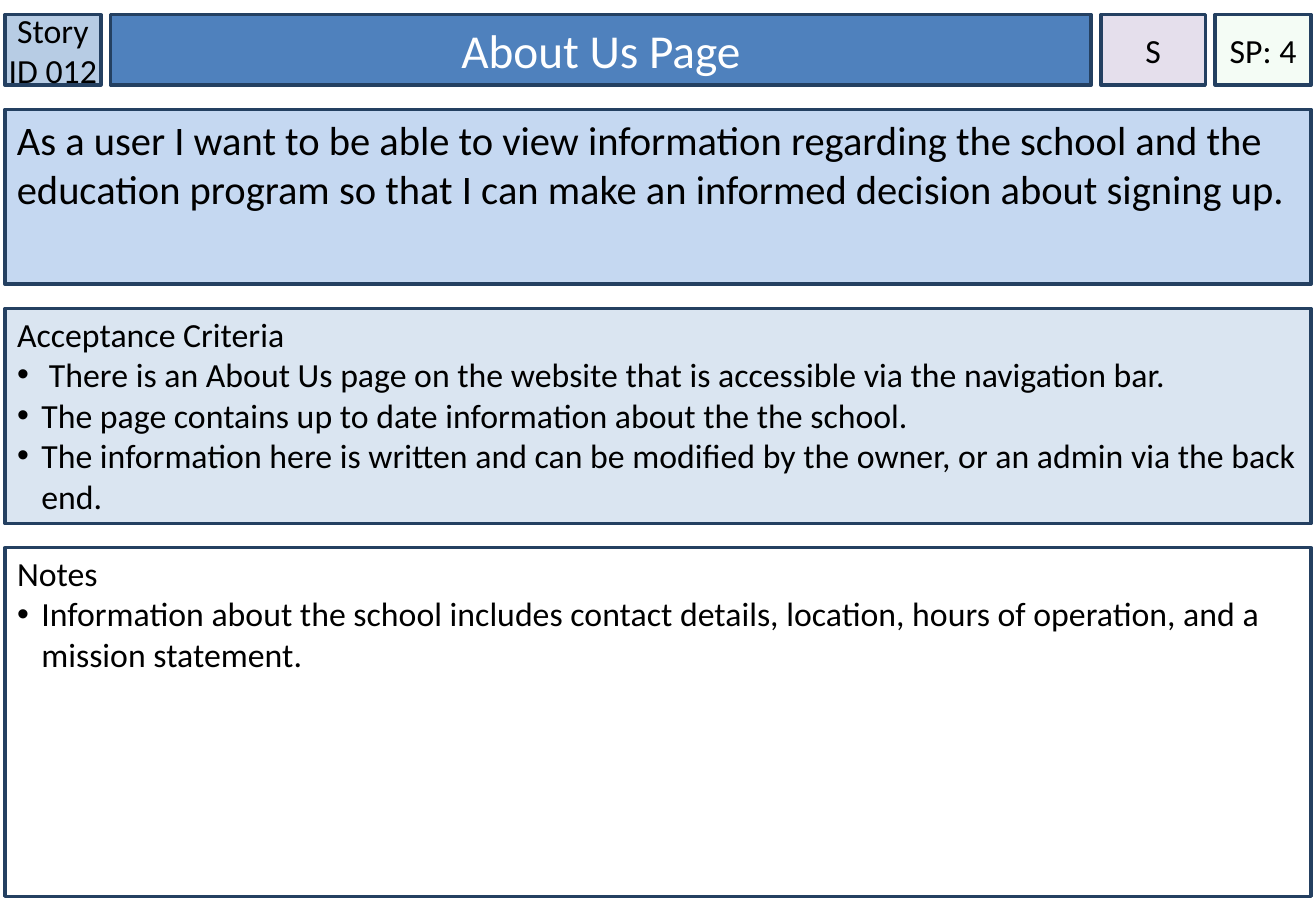
from itertools import accumulate

from lxml import etree
from pptx import Presentation
from pptx.dml.color import RGBColor
from pptx.enum.shapes import MSO_SHAPE
from pptx.enum.text import MSO_ANCHOR, MSO_AUTO_SIZE, PP_ALIGN
from pptx.oxml.ns import qn
from pptx.util import Inches, Pt

RECTANGLE = MSO_SHAPE.RECTANGLE
TOP, MIDDLE = MSO_ANCHOR.TOP, MSO_ANCHOR.MIDDLE
LEFT, CENTER = PP_ALIGN.LEFT, PP_ALIGN.CENTER
NO_AUTOFIT = MSO_AUTO_SIZE.NONE
TWO_CONTENT = 3

COLORS = {
    "border": "244061", "id": "B7CCE4", "title": "4F81BD", "size": "E5DFEC",
    "points": "CCF0CD", "story": "C5D8F1", "criteria": "DAE5F1",
    "notes": "FFFFFF", "text": "000000", "title_text": "FFFFFF",
}
COLUMNS, COLUMN_GAP, LEFT_EDGE = (0.79, 8.07, 0.86, 0.79), 0.08, 0.04
ROWS, ROW_GAP, TOP_EDGE = (0.58, 1.44, 1.77, 2.87), 0.2, 0.12
INDENT = 0.2


def starts(sizes, gap, edge):
    return list(accumulate((size + gap for size in sizes), initial=edge))


class StoryCard:
    """Draws the panels of a user story card on a grid."""

    font = "Calibri"
    lefts = starts(COLUMNS, COLUMN_GAP, LEFT_EDGE)
    tops = starts(ROWS, ROW_GAP, TOP_EDGE)

    def __init__(self, slide):
        self.slide = slide

    def cell(self, row, column, span):
        last = column + span - 1
        width = self.lefts[last] + COLUMNS[last] - self.lefts[column]
        area = self.lefts[column], self.tops[row], width, ROWS[row]
        return dict(zip(("left", "top", "width", "height"), map(Inches, area)))

    def style(self, panel, color, anchor, side, upper=0.05):
        panel.fill.solid()
        panel.fill.fore_color.rgb = RGBColor.from_string(COLORS[color])
        panel.line.color.rgb = RGBColor.from_string(COLORS["border"])
        panel.line.width = Pt(2)
        frame_format = {
            "word_wrap": True, "auto_size": NO_AUTOFIT, "vertical_anchor": anchor,
            "margin_left": Inches(side), "margin_right": Inches(side),
            "margin_top": Inches(upper), "margin_bottom": Inches(0.05),
        }
        for name, value in frame_format.items():
            setattr(panel.text_frame, name, value)

    def set_text(self, paragraph, text, size, align=LEFT, color="text"):
        paragraph.text = text
        paragraph_format = {"alignment": align, "line_spacing": 1.0,
                            "space_before": Pt(0), "space_after": Pt(0)}
        for name, value in paragraph_format.items():
            setattr(paragraph, name, value)
        font = paragraph.runs[0].font
        for name, value in {"name": self.font, "size": Pt(size)}.items():
            setattr(font, name, value)
        font.color.rgb = RGBColor.from_string(COLORS[color])

    def box(self, text, color, row, column, span=1, size=20,
            anchor=MIDDLE, align=CENTER, side=0):
        panel = self.slide.shapes.add_shape(RECTANGLE, **self.cell(row, column, span))
        panel.shadow.inherit = False
        self.style(panel, color, anchor, side)
        self.set_text(panel.text_frame.paragraphs[0], text, size, align)
        return panel

    def place(self, placeholder, row, column, span):
        for name, value in self.cell(row, column, span).items():
            setattr(placeholder, name, value)

    def title(self, text):
        heading = self.slide.shapes.title
        self.place(heading, 0, 1, 1)
        self.style(heading, "title", MIDDLE, 0.1)
        self.set_text(heading.text_frame.paragraphs[0], text, 28, CENTER, "title_text")

    def bullets(self, index, color, row, heading, items):
        body = self.slide.placeholders[index]
        self.place(body, row, 0, len(COLUMNS))
        self.style(body, color, TOP, 0.1, 0.04)
        frame = body.text_frame
        self.set_text(frame.paragraphs[0], heading, 20)
        self.mark(frame.paragraphs[0], 0, "buNone")
        for item in items:
            paragraph = frame.add_paragraph()
            self.set_text(paragraph, item, 20)
            self.mark(paragraph, INDENT, "buChar", char="•")

    def mark(self, paragraph, indent, bullet, **attributes):
        properties = paragraph._p.get_or_add_pPr()
        properties.set("marL", str(Inches(indent)))
        properties.set("indent", str(-Inches(indent)))
        etree.SubElement(properties, qn(f"a:{bullet}"), **attributes)

    def fade(self, panel, percent):
        tint = panel.fill._xPr.find(f".//{qn('a:srgbClr')}")
        etree.SubElement(tint, qn("a:alpha"), val=str(percent * 1000))


def main():
    deck = Presentation()
    deck.slide_width, deck.slide_height = Inches(10.83), Inches(7.5)
    card = StoryCard(deck.slides.add_slide(deck.slide_layouts[TWO_CONTENT]))

    card.box("Story ID 012", "id", 0, 0)
    card.title("About Us Page")
    card.box("S", "size", 0, 2)
    points = card.box("SP: 4", "points", 0, 3)
    card.fade(points, 20)
    card.box(
        "As a user I want to be able to view information regarding the school and the "
        "education program so that I can make an informed decision about signing up.",
        "story", 1, 0, len(COLUMNS), 24, TOP, LEFT, 0.1)
    card.bullets(1, "criteria", 2, "Acceptance Criteria", [
        " There is an About Us page on the website that is accessible via the navigation bar.",
        "The page contains up to date information about the the school.",
        "The information here is written and can be modified by the owner, "
        "or an admin via the back end.",
    ])
    card.bullets(2, "notes", 3, "Notes", [
        "Information about the school includes contact details, location, "
        "hours of operation, and a mission statement.",
    ])
    deck.save("out.pptx")


if __name__ == "__main__":
    main()
